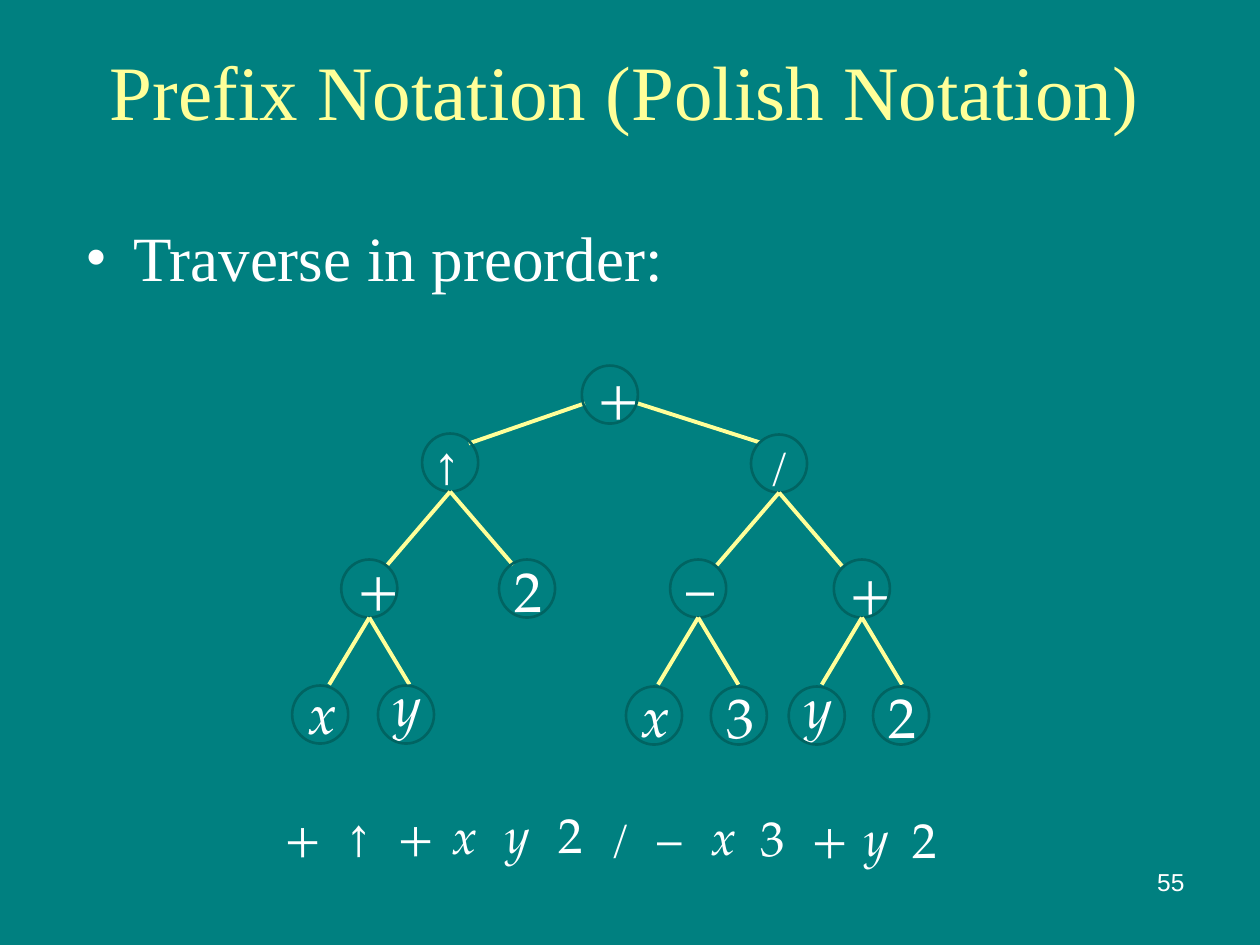
from lxml.etree import SubElement
from pptx import Presentation
from pptx.dml.color import RGBColor
from pptx.enum.shapes import MSO_CONNECTOR, MSO_SHAPE
from pptx.enum.text import MSO_ANCHOR, MSO_AUTO_SIZE, PP_ALIGN
from pptx.oxml.ns import qn
from pptx.util import Cm, Pt

TEAL = RGBColor(0x00, 0x80, 0x80)
DARK_TEAL = RGBColor(0x00, 0x64, 0x62)
YELLOW = RGBColor(0xFF, 0xFF, 0x99)
WHITE = RGBColor(0xFF, 0xFF, 0xFF)
SERIF, MATH, SANS = "Times New Roman", "TeX Gyre Pagella", "Arial"

NODE_WIDTH, NODE_HEIGHT = 1.13, 1.17
WIDE_BRANCH, NARROW_BRANCH = (1.27, 1.48), (0.81, 1.35)

# Tree nodes: symbol, left, top, label shift, (spread, drop) of the branches below
NODES = [
    ("+", 11.73, 7.37, -0.21, None),
    ("↑", 8.51, 8.74, -0.03, WIDE_BRANCH),
    ("/", 15.14, 8.76, -0.05, WIDE_BRANCH),
    ("+", 6.88, 11.28, -0.26, NARROW_BRANCH),
    ("2", 10.06, 11.28, -0.18, None),
    ("–", 13.51, 11.28, -0.26, NARROW_BRANCH),
    ("+", 16.81, 11.28, -0.18, NARROW_BRANCH),
    ("x", 5.89, 13.82, -0.26, None),
    ("y", 7.62, 13.82, -0.43, None),
    ("x", 12.62, 13.84, -0.23, None),
    ("3", 14.33, 13.84, -0.20, None),
    ("y", 15.90, 13.84, -0.40, None),
    ("2", 17.60, 13.84, -0.20, None),
]

# Preorder result: symbol, left, top
RESULT = [
    ("+", 5.49, 16.13), ("↑", 6.73, 16.21), ("+", 7.77, 16.10),
    ("x", 8.86, 16.10), ("y", 9.93, 16.08), ("2", 11.00, 16.08),
    ("/", 12.01, 16.21), ("–", 13.00, 16.15), ("x", 14.07, 16.13),
    ("3", 15.06, 16.15), ("+", 16.10, 16.15), ("y", 17.17, 16.15),
    ("2", 18.14, 16.18),
]


def write(para, text, font=MATH, size=32, color=WHITE, italic=False,
          align=PP_ALIGN.LEFT):
    para.alignment = align
    span = para.add_run()
    span.text = text
    span.font.name = font
    span.font.size = Pt(size)
    span.font.color.rgb = color
    span.font.italic = italic


class SlideBuilder:
    def __init__(self, slide):
        self.slide = slide
        slide.background.fill.solid()
        slide.background.fill.fore_color.rgb = TEAL

    def text(self, text, left, top, width, height, anchor=MSO_ANCHOR.TOP,
             fitted=False, **style):
        box = self.slide.shapes.add_textbox(
            Cm(left), Cm(top), Cm(width), Cm(height))
        frame = box.text_frame
        frame.word_wrap = not fitted
        frame.auto_size = (MSO_AUTO_SIZE.SHAPE_TO_FIT_TEXT if fitted
                           else MSO_AUTO_SIZE.NONE)
        frame.vertical_anchor = anchor
        para = frame.paragraphs[0]
        write(para, text, **style)
        return para

    def bullet(self, text, left, top, width, height, indent, **style):
        para = self.text(text, left, top, width, height, **style)
        para.line_spacing = 0.9
        properties = para._p.get_or_add_pPr()
        properties.set("marL", str(Cm(indent)))
        properties.set("indent", str(-Cm(indent)))
        SubElement(properties, qn("a:buFont"), typeface=SERIF)
        SubElement(properties, qn("a:buChar"), char="•")

    def line(self, x1, y1, x2, y2):
        connector = self.slide.shapes.add_connector(
            MSO_CONNECTOR.STRAIGHT, Cm(x1), Cm(y1), Cm(x2), Cm(y2))
        connector.line.color.rgb = YELLOW
        connector.line.width = Pt(2.25)
        SubElement(connector._element.spPr, qn("a:effectLst"))

    def circle(self, left, top):
        shape = self.slide.shapes.add_shape(
            MSO_SHAPE.OVAL, Cm(left), Cm(top), Cm(NODE_WIDTH), Cm(NODE_HEIGHT))
        shape.shadow.inherit = False
        shape.fill.background()
        shape.line.color.rgb = DARK_TEAL
        shape.line.width = Pt(1.5)

    def node(self, symbol, left, top, shift, branch):
        small = symbol in "↑/"
        width = 1.02 if small else 1.19 if symbol == "+" else 1.07
        self.text(symbol, left + (0.13 if symbol == "/" else 0.07), top + shift,
                  width, 1.27 if small else 1.6, fitted=True,
                  size=24 if small else 32, italic=symbol.isalpha())
        self.circle(left, top)
        if branch:
            spread, drop = branch
            x, y = left + NODE_WIDTH / 2, top + NODE_HEIGHT
            for side in (-1, 1):
                self.line(x + side * spread, y + drop, x, y)

    def result(self, symbol, left, top, italic):
        small = symbol in "↑/"
        self.text(symbol, left, top, 1.12 if symbol == "+" else 1.02,
                  1.27 if small else 1.45, anchor=MSO_ANCHOR.MIDDLE,
                  fitted=True, size=24 if small else 28, italic=italic,
                  align=PP_ALIGN.CENTER)


def main():
    deck = Presentation()
    deck.slide_width, deck.slide_height = Cm(25.4), Cm(19.05)
    page = SlideBuilder(deck.slides.add_slide(deck.slide_layouts[6]))

    # Heading and bullet
    page.text("Prefix Notation (Polish Notation)", 0.43, 0.43, 24.33, 2.74,
              anchor=MSO_ANCHOR.MIDDLE, font=SERIF, size=44, color=YELLOW,
              align=PP_ALIGN.CENTER)
    page.bullet("Traverse in preorder:", 1.47, 4.45, 13.16, 1.42, 0.97,
                font=SERIF, size=36)

    # Preorder result; its first two plus signs are italic like the variables
    for index, (symbol, left, top) in enumerate(RESULT):
        italic = symbol.isalpha() or (symbol == "+" and index < 3)
        page.result(symbol, left, top, italic)

    # Expression tree
    page.line(15.32, 8.92, 12.85, 8.13)
    page.line(9.45, 8.94, 11.79, 8.13)
    for node in NODES:
        page.node(*node)

    # Page number
    page.text("55", 18.21, 17.35, 5.92, 1.32, font=SANS, size=14,
              align=PP_ALIGN.RIGHT)
    deck.save("out.pptx")


if __name__ == "__main__":
    main()
